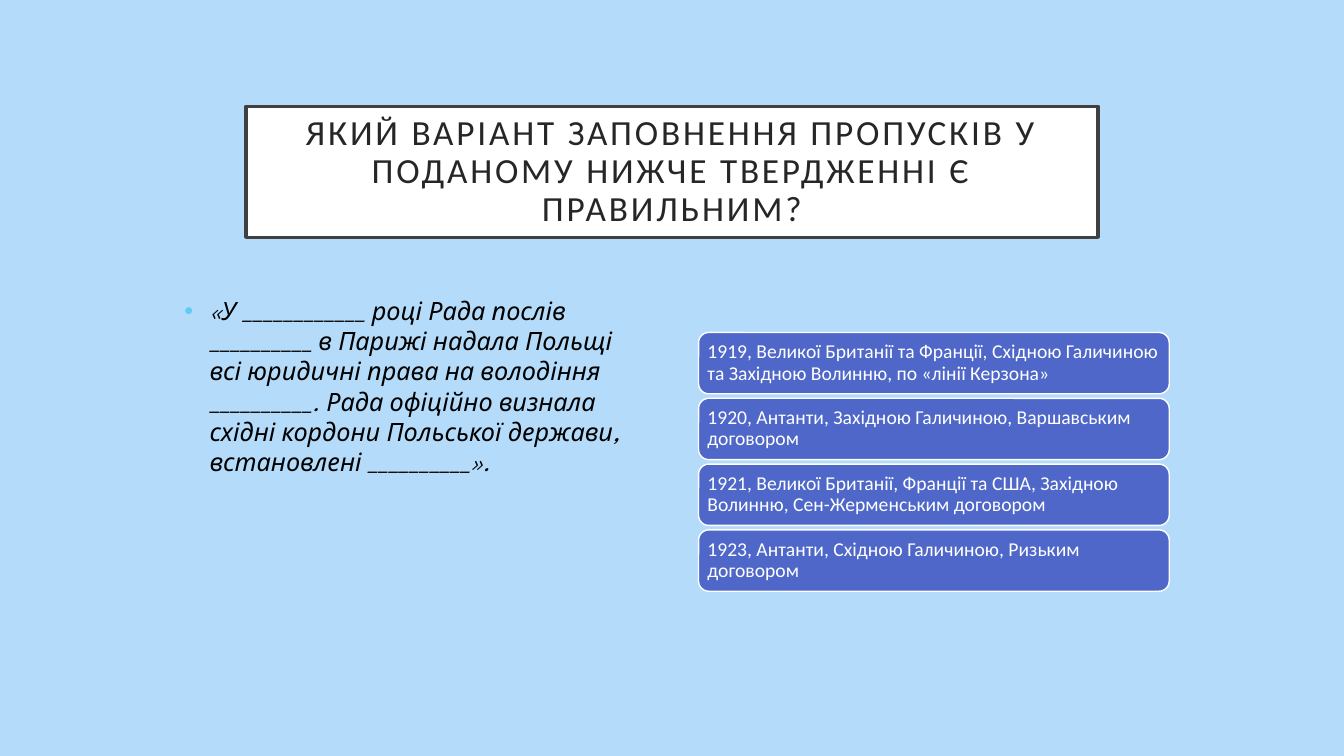
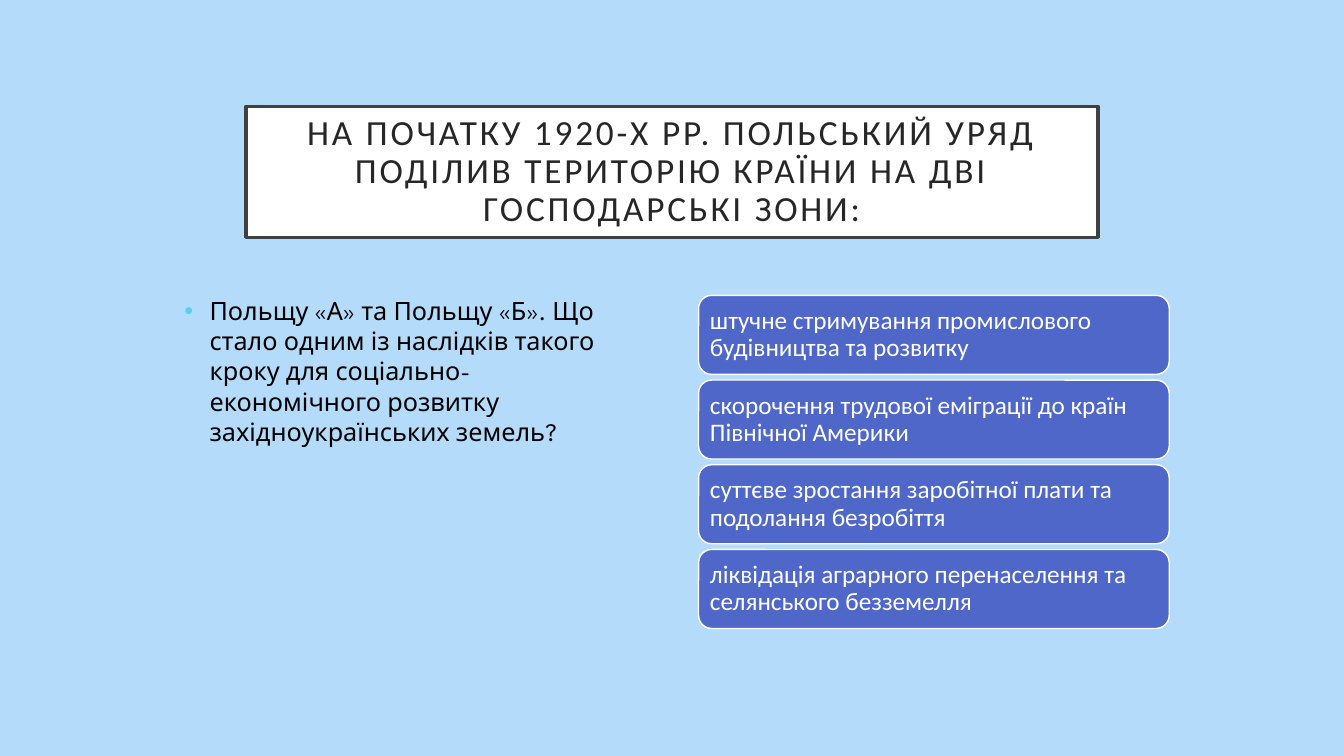
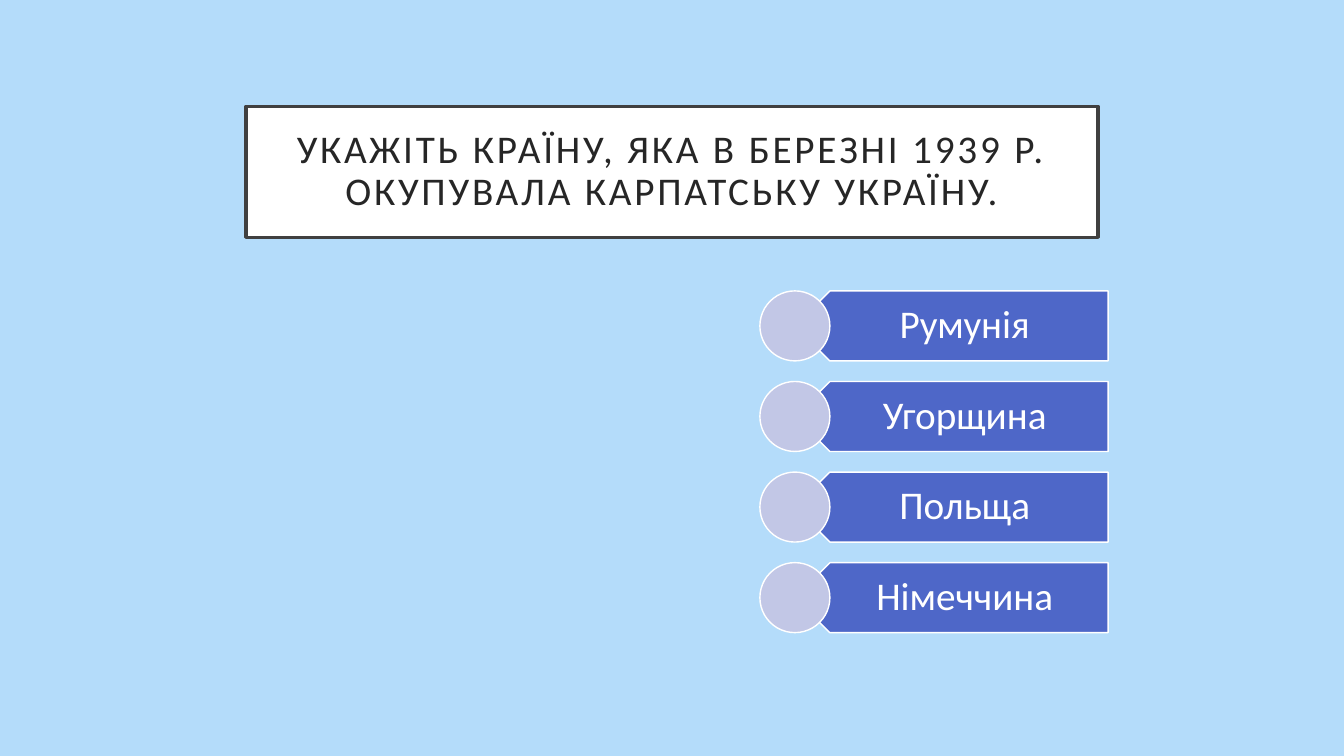
"""Build three Ukrainian history quiz slides with answer options."""
import pptx
import pptx.dml.color
import pptx.enum.shapes
import pptx.enum.text
import pptx.util
from lxml import etree

Pt = pptx.util.Pt
RGB = pptx.dml.color.RGBColor
SHAPE = pptx.enum.shapes.MSO_SHAPE
ALIGN = pptx.enum.text.PP_ALIGN
MIDDLE = pptx.enum.text.MSO_ANCHOR.MIDDLE
NO_FIT = pptx.enum.text.MSO_AUTO_SIZE.NONE

SKY = RGB(0xB4, 0xDC, 0xFA)
WHITE = RGB(0xFF, 0xFF, 0xFF)
BLACK = RGB(0x00, 0x00, 0x00)
FRAME = RGB(0x40, 0x40, 0x40)
INK = RGB(0x26, 0x26, 0x26)
BLUE = RGB(0x4E, 0x67, 0xC8)
LILAC = RGB(0xC2, 0xC7, 0xE6)
BULLET = "5ECCF3"
A = "http://schemas.openxmlformats.org/drawingml/2006/main"


def add_box(s, kind, left, top, width, height, fill):
    sp = s.shapes.add_shape(kind, Pt(left), Pt(top), Pt(width), Pt(height))
    sp.shadow.inherit = False
    sp.fill.solid()
    sp.fill.fore_color.rgb = fill
    sp.line.color.rgb = WHITE
    sp.line.width = Pt(1)
    return sp


def write(sp, text, size, color, align, insets, font="Calibri", spacing=0.9, anchor=MIDDLE):
    tf = sp.text_frame
    tf.word_wrap = True
    tf.auto_size = NO_FIT
    tf.vertical_anchor = anchor
    tf.margin_left, tf.margin_top, tf.margin_right, tf.margin_bottom = [Pt(i) for i in insets]
    p = tf.paragraphs[0]
    p.alignment = align
    p.line_spacing = spacing
    r = p.add_run()
    r.text = text
    r.font.size = Pt(size)
    r.font.name = font
    r.font.color.rgb = color
    return p, r


prs = pptx.Presentation()
prs.slide_width, prs.slide_height = Pt(960), Pt(540)
bg = prs.slide_master.background.fill
bg.solid()
bg.fore_color.rgb = SKY

quiz = [
    {
        "title": "ЯКИЙ ВАРІАНТ ЗАПОВНЕННЯ ПРОПУСКІВ У ПОДАНОМУ НИЖЧЕ ТВЕРДЖЕННІ Є ПРАВИЛЬНИМ?",
        "title_size": 25.2,
        "body": "«У ____________ році Рада послів __________ в Парижі надала Польщі всі юридичні "
                "права на володіння __________. Рада офіційно визнала східні кордони Польської "
                "держави, встановлені __________».",
        "italic": True,
        "options": [
            "1919, Великої Британії та Франції, Східною Галичиною та Західною Волинню, по «лінії Керзона»",
            "1920, Антанти, Західною Галичиною, Варшавським договором",
            "1921, Великої Британії, Франції та США, Західною Волинню, Сен-Жерменським договором",
            "1923, Антанти, Східною Галичиною, Ризьким договором",
        ],
        "size": 14, "top": 237.5, "height": 43.8, "pitch": 47, "inset": 4.2,
    },
    {
        "title": "НА ПОЧАТКУ 1920-Х РР. ПОЛЬСЬКИЙ УРЯД ПОДІЛИВ ТЕРИТОРІЮ КРАЇНИ НА ДВІ ГОСПОДАРСЬКІ ЗОНИ:",
        "title_size": 25.2,
        "body": "Польщу «А» та Польщу «Б». Що стало одним із наслідків такого кроку для "
                "соціально-економічного розвитку західноукраїнських земель?",
        "italic": False,
        "options": [
            "штучне стримування промислового будівництва та розвитку",
            "скорочення трудової еміграції до країн Північної Америки",
            "суттєве зростання заробітної плати та подолання безробіття",
            "ліквідація аграрного перенаселення та селянського безземелля",
        ],
        "size": 18, "top": 211, "height": 56.4, "pitch": 60.5, "inset": 5.4,
    },
    {
        "title": "УКАЖІТЬ КРАЇНУ, ЯКА В БЕРЕЗНІ 1939 Р. ОКУПУВАЛА КАРПАТСЬКУ УКРАЇНУ.",
        "title_size": 28,
        "body": None,
        "options": ["Румунія", "Угорщина", "Польща", "Німеччина"],
        "size": 28, "top": 207.8, "height": 50, "pitch": 64.7,
    },
]

for q in quiz:
    s = prs.slides.add_slide(prs.slide_layouts[5])
    title = s.shapes.title
    title.left, title.top, title.width, title.height = Pt(175.7), Pt(75.9), Pt(608.6), Pt(93.6)
    title.fill.solid()
    title.fill.fore_color.rgb = WHITE
    title.line.color.rgb = FRAME
    title.line.width = Pt(2.5)
    p, r = write(title, q["title"], q["title_size"], INK, ALIGN.CENTER, [14.4] * 4)
    r.font._element.set("spc", "200")

    if q["body"]:
        tb = s.shapes.add_textbox(Pt(124.6), Pt(207.4), Pt(336), Pt(244))
        p, r = write(tb, q["body"], 18, BLACK, ALIGN.LEFT, [7.2, 3.6, 7.2, 3.6],
                     "League Spartan", 1.0, pptx.enum.text.MSO_ANCHOR.TOP)
        r.font.italic = q["italic"]
        pPr = p._p.get_or_add_pPr()
        pPr.set("marL", str(Pt(18)))
        pPr.set("indent", str(Pt(-18)))
        clr = etree.SubElement(pPr, f"{{{A}}}buClr")
        etree.SubElement(clr, f"{{{A}}}srgbClr", val=BULLET)
        etree.SubElement(pPr, f"{{{A}}}buFont", typeface="Arial")
        etree.SubElement(pPr, f"{{{A}}}buChar", char="•")

    for i, option in enumerate(q["options"]):
        top, height = q["top"] + i * q["pitch"], q["height"]
        if q["body"]:
            sp = add_box(s, SHAPE.ROUNDED_RECTANGLE, 499, top, 336.2, height, BLUE)
            write(sp, option, q["size"], WHITE, ALIGN.LEFT, [q["inset"]] * 4)
        else:
            arrow = add_box(s, SHAPE.PENTAGON, 567.8, top, 223.7, height, BLUE)
            arrow.rotation = 180
            tb = s.shapes.add_textbox(Pt(580.3), Pt(top), Pt(211.2), Pt(height))
            write(tb, option, q["size"], WHITE, ALIGN.CENTER, [22, 8.4, 15.7, 8.4])
            add_box(s, SHAPE.OVAL, 542.8, top, height, height, LILAC)

prs.save("out.pptx")
